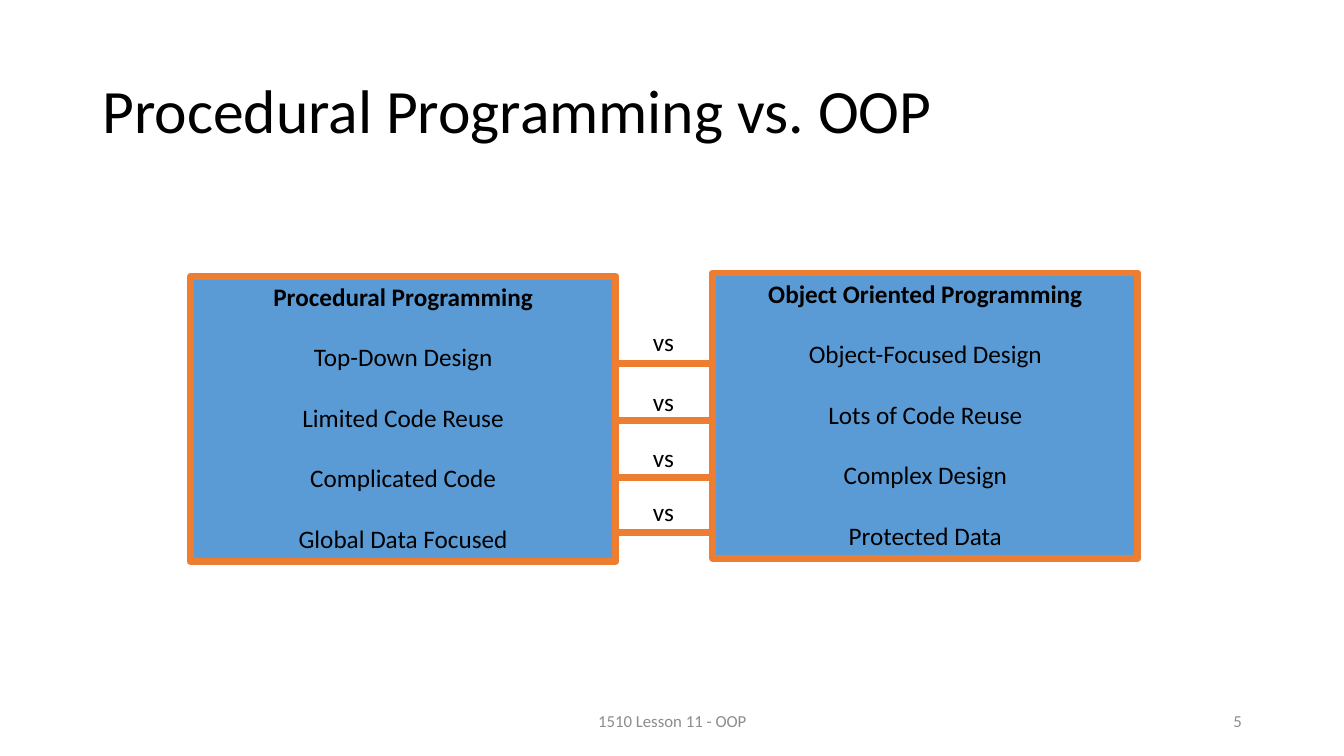
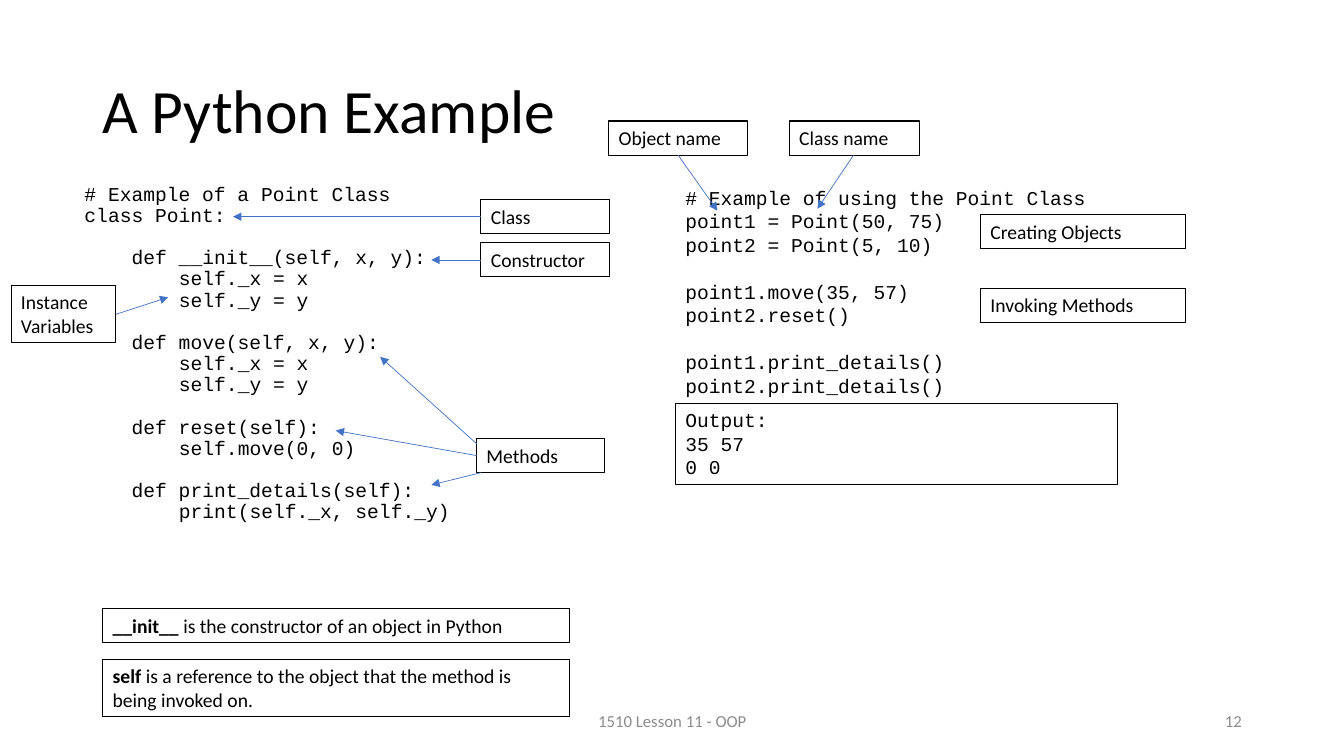
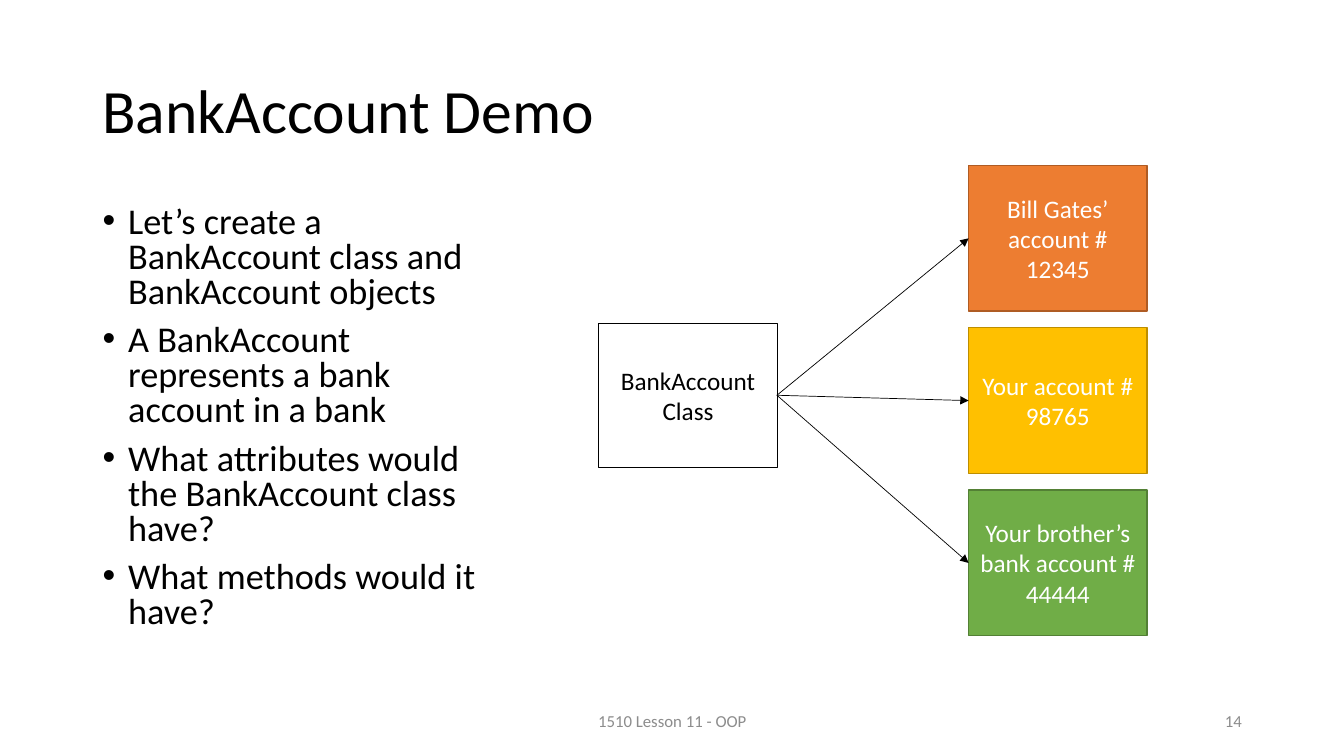
from lxml.etree import SubElement as Sub
from pptx import Presentation
from pptx.dml.color import RGBColor as RGB
from pptx.enum.shapes import MSO_CONNECTOR as Link, MSO_SHAPE as Form
from pptx.enum.text import MSO_ANCHOR as Anchor, PP_ALIGN as Align
from pptx.oxml.ns import qn
from pptx.util import Cm, Pt

BLACK = RGB(0x00, 0x00, 0x00)
WHITE = RGB(0xFF, 0xFF, 0xFF)
GREY = RGB(0x8C, 0x8C, 0x8C)
BLUE = RGB(0x5B, 0x9B, 0xD5)
NAVY = RGB(0x44, 0x72, 0xC4)
ORANGE = RGB(0xED, 0x7D, 0x31)
RUST = RGB(0xAF, 0x5C, 0x24)
GOLD = RGB(0xFF, 0xC0, 0x00)
OCHRE = RGB(0xBD, 0x8E, 0x00)
GREEN = RGB(0x70, 0xAD, 0x47)
MOSS = RGB(0x53, 0x80, 0x35)

SANS, MONO = "Calibri", "Courier New"
LEADING = 1.2
MID = dict(align=Align.CENTER, anchor=Anchor.MIDDLE)
CODE = dict(font=MONO, size=14)

POINT = """\
# Example of a Point Class
class Point:

    def __init__(self, x, y):
        self._x = x
        self._y = y

    def move(self, x, y):
        self._x = x
        self._y = y

    def reset(self):
        self.move(0, 0)

    def print_details(self):
        print(self._x, self._y)"""

USAGE = """\
# Example of using the Point Class
point1 = Point(50, 75)
point2 = Point(5, 10)

point1.move(35, 57)
point2.reset()

point1.print_details()
point2.print_details()"""


def write(shape, text, font=SANS, size=18, color=BLACK, align=Align.LEFT,
          anchor=Anchor.TOP, lead=1, before=0, bullet=None):
    """Fill a shape with text: ** toggles bold, four spaces indent a line,
    and an empty line becomes space before the next one."""
    frame = shape.text_frame
    frame.word_wrap = True
    frame.vertical_anchor = anchor
    para, gap = frame.paragraphs[0], before
    for row, line in enumerate(text.split("\n")):
        if not line:
            gap += size * LEADING * lead
            continue
        if row:
            para = frame.add_paragraph()
        para.alignment = align
        para.line_spacing = lead
        para.space_before, gap = Pt(gap), before
        body = line.lstrip()
        props = para._p.get_or_add_pPr()
        props.set("marL", str(Cm(1.19 * (len(line) - len(body)) / 4)))
        if bullet:
            props.set("marL", str(Cm(0.64)))
            props.set("indent", str(-Cm(0.64)))
            Sub(props, qn("a:buFont")).set("typeface", "Arial")
            Sub(props, qn("a:buChar")).set("char", bullet)
        for turn, part in enumerate(body.split("**")):
            if part:
                run = para.add_run()
                run.text = part
                run.font.name, run.font.size = font, Pt(size)
                run.font.bold = turn % 2 == 1
                run.font.color.rgb = color


class Deck:
    """Holds the shared style and the current slide."""

    def __init__(self):
        """Start an empty wide deck."""
        self.show = Presentation()
        self.show.slide_width, self.show.slide_height = Cm(33.87), Cm(19.05)

    def page(self, title, number):
        """Add a slide with its title, footer and number."""
        self.slide = self.show.slides.add_slide(self.show.slide_layouts[6])
        self.text(title, 2.33, 1.02, 29.21, 3.68, size=44, lead=0.9,
                  anchor=Anchor.MIDDLE)
        foot = dict(size=12, color=GREY, anchor=Anchor.MIDDLE)
        self.text("1510 Lesson 11 - OOP", 11.23, 17.65, 11.43, 1.02,
                  align=Align.CENTER, **foot)
        self.text(str(number), 23.93, 17.65, 7.62, 1.02,
                  align=Align.RIGHT, **foot)

    def text(self, text, x, y, w, h, **fmt):
        """Add a plain text box."""
        box = self.slide.shapes.add_textbox(Cm(x), Cm(y), Cm(w), Cm(h))
        write(box, text, **fmt)

    def box(self, text, x, y, w, h, fill=WHITE, edge=BLACK, width=0.75, **fmt):
        """Add a bordered rectangle with text."""
        box = self.slide.shapes.add_shape(Form.RECTANGLE, Cm(x), Cm(y),
                                          Cm(w), Cm(h))
        box.shadow.inherit = False
        if fill is None:
            box.fill.background()
        else:
            box.fill.solid()
            box.fill.fore_color.rgb = fill
        box.line.color.rgb, box.line.width = edge, Pt(width)
        write(box, text, **fmt)

    def note(self, text, x, y, w, h=0.86):
        """Add a small label box."""
        self.box(text, x, y, w, h, size=14)

    def line(self, x1, y1, x2, y2, color=NAVY, width=0.5, arrow=True):
        """Add a straight line, with an arrowhead at its end if asked."""
        line = self.slide.shapes.add_connector(Link.STRAIGHT, Cm(x1), Cm(y1),
                                               Cm(x2), Cm(y2))
        line.line.color.rgb, line.line.width = color, Pt(width)
        if arrow:
            Sub(line.line._get_or_add_ln(), qn("a:tailEnd")).set(
                "type", "triangle")
        Sub(line._element.spPr, qn("a:effectLst"))


def versus(deck):
    """Compare the two styles of programming."""
    deck.page("Procedural Programming vs. OOP", 5)
    sides = [
        (4.8, 6.96, ["**Procedural Programming**", "Top-Down Design",
                     "Limited Code Reuse", "Complicated Code",
                     "Global Data Focused"]),
        (17.96, 6.88, ["**Object Oriented Programming**",
                       "Object-Focused Design", "Lots of Code Reuse",
                       "Complex Design", "Protected Data"]),
    ]
    for x, y, items in sides:
        deck.box("\n\n".join(items), x, y, 10.72, 7.19, fill=BLUE,
                 edge=ORANGE, width=5, align=Align.CENTER)
    for bar, top in [(9.17, 8.1), (10.59, 9.6), (12.04, 11.02), (13.41, 12.37)]:
        deck.line(15.57, bar, 17.93, bar, ORANGE, 5, arrow=False)
        deck.text("vs", 15.87, top, 1.7, 1.02, align=Align.CENTER)


def example(deck):
    """Show a class, its use and the names of its parts."""
    deck.page("A Python Example", 12)
    deck.text(POINT, 1.88, 4.52, 10.44, 11.25, lead=0.9, **CODE)
    deck.text(USAGE, 17.02, 4.55, 11.15, 5.64, **CODE)
    deck.box("Output:\n35 57\n0 0", 17.02, 10.16, 11.15, 2.06, fill=None, **CODE)
    notes = [
        ("Class", 12.12, 5.03, 3.23),
        ("Constructor", 12.12, 6.12, 3.23),
        ("Instance Variables", 0.28, 7.19, 2.64, 1.45),
        ("Methods", 12.01, 11.05, 3.23),
        ("**__init__** is the constructor of an object in Python",
         2.59, 15.34, 11.76),
        ("**self** is a reference to the object that the method is "
         "being invoked on.", 2.59, 16.61, 11.76, 1.45),
        ("Creating Objects", 24.71, 5.41, 5.16),
        ("Invoking Methods", 24.71, 7.26, 5.16),
        ("Object name", 15.34, 3.05, 3.51),
        ("Class name", 19.89, 3.05, 3.28),
    ]
    for note in notes:
        deck.note(*note)
    arrows = [
        (12.12, 5.46, 5.87, 5.46),
        (12.12, 6.55, 10.87, 6.55),
        (2.92, 7.92, 4.24, 7.49),
        (12.01, 11.18, 9.58, 8.99),
        (12.01, 11.48, 8.46, 10.85),
        (12.12, 11.91, 10.87, 12.22),
        (17.09, 3.91, 18.08, 5.31),
        (21.51, 3.91, 20.6, 5.26),
    ]
    for arrow in arrows:
        deck.line(*arrow)


def demo(deck):
    """Show one class and the objects made from it."""
    deck.page("BankAccount Demo", 14)
    points = ["Let’s create a BankAccount class and BankAccount objects",
              "A BankAccount represents a bank account in a bank",
              "What attributes would the BankAccount class have?",
              "What methods would it have?"]
    deck.text("\n".join(points), 2.34, 5.08, 10.41, 11.2, size=25.9,
              lead=0.8, before=10, bullet="•")
    deck.box("BankAccount\nClass", 15.09, 8.15, 4.5, 3.63, width=1, **MID)
    accounts = [("Bill Gates’ account # 12345", ORANGE, RUST),
                ("Your account # 98765", GOLD, OCHRE),
                ("Your brother’s bank account # 44444", GREEN, MOSS)]
    left, high = 24.41, 3.67
    for row, (text, fill, edge) in enumerate(accounts):
        top = 4.17 + 4.09 * row
        deck.box(text, left, top, 4.5, high, fill, edge, 1, color=WHITE, **MID)
        deck.line(19.58, 9.96, left, top + high / 2, BLACK)


deck = Deck()
for build in (versus, example, demo):
    build(deck)
deck.show.save("out.pptx")
